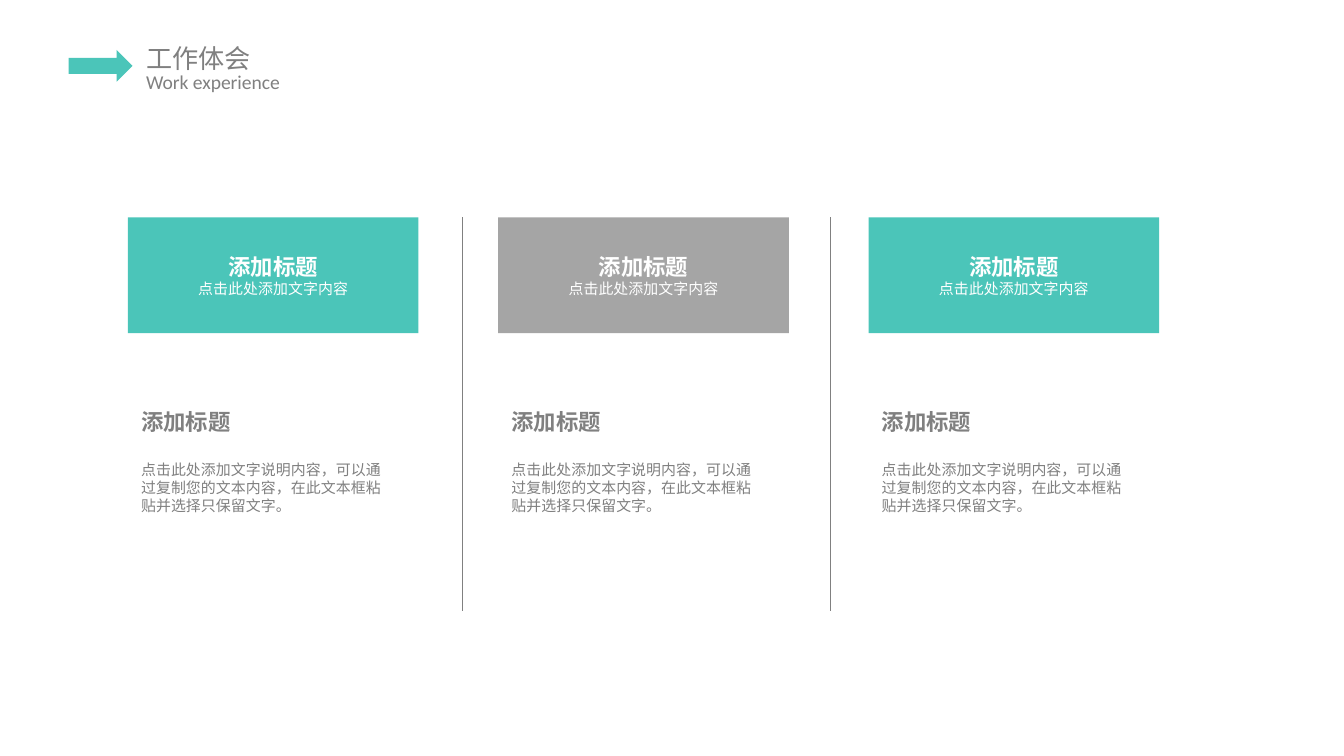
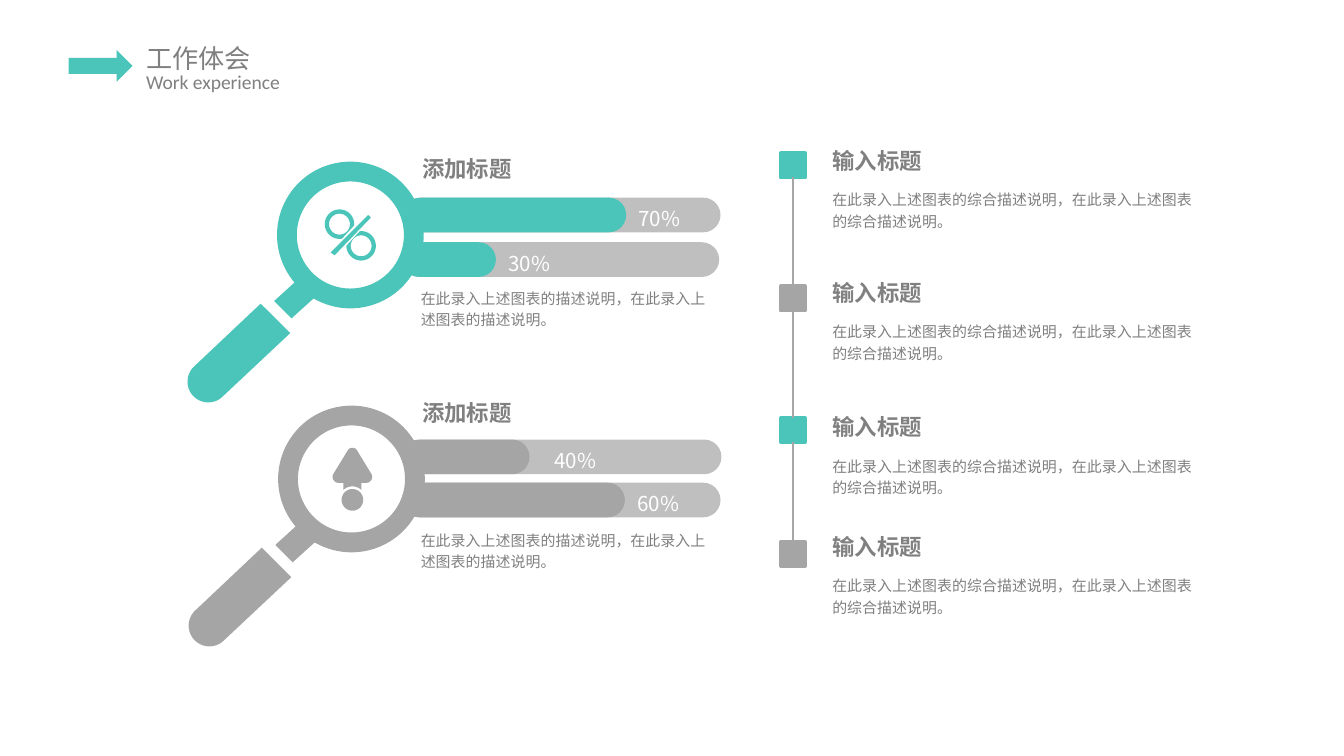
"""Build two work-experience slides: three cards, and magnifier bars beside a timeline."""
from dataclasses import dataclass
from itertools import pairwise
from math import cos, radians, sin

from lxml.etree import SubElement
from pptx import Presentation
from pptx.dml.color import RGBColor
from pptx.enum.shapes import MSO_CONNECTOR, MSO_SHAPE as Preset
from pptx.enum.text import MSO_ANCHOR as Anchor, MSO_AUTO_SIZE as AutoSize, PP_ALIGN as Align
from pptx.oxml.ns import qn
from pptx.shapes.autoshape import Shape
from pptx.shapes.connector import Connector
from pptx.slide import Slide
from pptx.text.text import TextFrame
from pptx.util import Pt

COLORS = {
    "teal": "4BC5B9",
    "gray": "A5A5A5",
    "track": "BFBFBF",
    "text": "808080",
    "rail": "A6A6A6",
    "white": "FFFFFF",
}
CJK_FONT = "Noto Sans CJK SC"
LATIN_FONT = "Calibri"
WIDE_INSETS = (7.7, 3.9)
NORMAL_INSETS = (7.2, 3.6)
TIGHT_INSETS = (5.1, 2.6)

Point = tuple[float, float]
Contour = list[Point]


@dataclass(frozen=True)
class Box:
    left: float
    top: float
    width: float
    height: float

    def lengths(self) -> list[Pt]:
        return [Pt(value) for value in (self.left, self.top, self.width, self.height)]


@dataclass(frozen=True)
class Bar:
    track_left: float
    fill_left: float
    top: float
    fill_width: float
    label: str
    label_width: float
    color: str


@dataclass(frozen=True)
class Magnifier:
    center: Point
    color: str
    symbol: list[list[Contour]]
    title_top: float
    body_top: float


@dataclass(frozen=True)
class Milestone:
    marker_top: float
    title_top: float
    color: str


def rgb(name: str) -> RGBColor:
    return RGBColor.from_string(COLORS[name])


def arc(x: float, y: float, radius: float, start: float = 0, end: float = 360) -> Contour:
    steps = 32
    angles = [radians(start + (end - start) * step / steps) for step in range(steps + 1)]
    return [(x + radius * cos(angle), y + radius * sin(angle)) for angle in angles]


NECK = [(-15.6, 30.3), (-31.5, 44.7), (-40.8, 35.4), (-25, 21)]
HANDLE = [(-48, 36.8), *arc(-76.1, 78.6, 11.1, 225, 45), (-32.2, 52.6)]
PERCENT = [
    [
        arc(-5.8, -5.8, 7.9, 80, 365), arc(-5.8, -5.8, 5.6),
        arc(5.8, 5.8, 7.9, 265, 540), arc(5.8, 5.8, 5.6),
    ],
    [[(11, -9.3), (-8.4, 10.9), (-10.6, 9.4), (9.6, -10.7)]],
]
UP_ARROW = [
    [[
        *arc(0.5, -13.8, 2.9, 210, 330),
        *arc(7.9, -1.1, 3.2, -30, 90),
        (5.4, 2.1),
        *arc(0.5, 11.2, 7.2, -48, -132),
        (-4.4, 2.1),
        *arc(-6.9, -1.1, 3.2, 90, 210),
    ]],
    [arc(0.5, 11.2, 5.8)],
]

BARS = [
    Bar(216, 216, 105.9, 119.5, "70%", 38.2, "teal"),
    Bar(215.3, 215.3, 129.8, 50.4, "30%", 38.2, "teal"),
    Bar(216.5, 215.3, 235.5, 68.4, "40%", 51.8, "gray"),
    Bar(216, 215.3, 258.6, 119.5, "60%", 38.2, "gray"),
]
MAGNIFIERS = [
    Magnifier((187.7, 125.9), "teal", PERCENT, 80.6, 150.5),
    Magnifier((188.3, 256.6), "gray", UP_ARROW, 211, 280.1),
]
MILESTONES = [
    Milestone(82.1, 76.3, "teal"),
    Milestone(153.4, 146.9, "gray"),
    Milestone(223.9, 218.9, "teal"),
    Milestone(290.2, 283, "gray"),
]


def write_text(
    frame: TextFrame, text: str, *, size: float = 8, color: str = "text", bold: bool = False,
    font_name: str = CJK_FONT, align: Align = Align.LEFT, spacing: float = 1.0,
) -> None:
    first = frame.paragraphs[0]
    paragraph = frame.add_paragraph() if first.runs else first
    paragraph.alignment = align
    paragraph.line_spacing = spacing
    run = paragraph.add_run()
    run.text = text
    font = run.font
    font.size, font.bold, font.name = Pt(size), bold, font_name
    font.color.rgb = rgb(color)
    SubElement(run._r.get_or_add_rPr(), qn("a:ea"), typeface=font_name)


def set_insets(frame: TextFrame, insets: Point) -> None:
    frame.margin_left = frame.margin_right = Pt(insets[0])
    frame.margin_top = frame.margin_bottom = Pt(insets[1])


def add_label(
    slide: Slide, box: Box, text: str, *, insets: Point = TIGHT_INSETS, wrap: bool = True, **text_format
) -> None:
    frame = slide.shapes.add_textbox(*box.lengths()).text_frame
    frame.word_wrap = wrap
    frame.auto_size = AutoSize.SHAPE_TO_FIT_TEXT
    set_insets(frame, insets)
    write_text(frame, text, **text_format)


def paint(shape: Shape, color: str, line_width: float = 0) -> None:
    shape.shadow.inherit = False
    shape.fill.solid()
    shape.fill.fore_color.rgb = rgb(color)
    if line_width:
        shape.line.color.rgb = rgb(color)
        shape.line.width = Pt(line_width)
    else:
        shape.line.fill.background()


def add_preset(slide: Slide, preset: Preset, box: Box, color: str, line_width: float = 0) -> Shape:
    shape = slide.shapes.add_shape(preset, *box.lengths())
    paint(shape, color, line_width)
    return shape


def add_outline(slide: Slide, origin: Point, contours: list[Contour], color: str) -> None:
    placed = [[(Pt(origin[0] + x), Pt(origin[1] + y)) for x, y in contour] for contour in contours]
    builder = slide.shapes.build_freeform(*placed[0][0], scale=1.0)
    for index, contour in enumerate(placed):
        if index:
            builder.move_to(*contour[0])
        builder.add_line_segments(contour[1:], close=True)
    paint(builder.convert_to_shape(), color)


def add_line(slide: Slide, start: Point, end: Point, color: str, width: float) -> Connector:
    points = [Pt(value) for value in (*start, *end)]
    connector = slide.shapes.add_connector(MSO_CONNECTOR.STRAIGHT, *points)
    connector.line.color.rgb = rgb(color)
    connector.line.width = Pt(width)
    SubElement(connector._element.spPr, qn("a:effectLst"))
    return connector


def add_header(slide: Slide) -> None:
    add_label(slide, Box(70.6, 18.7, 72, 24.5), "工作体会", insets=WIDE_INSETS, wrap=False, size=14)
    add_label(slide, Box(70.6, 33.8, 88.6, 20.2), "Work experience", insets=WIDE_INSETS,
              wrap=False, size=10.5, font_name=LATIN_FONT)
    add_preset(slide, Preset.RIGHT_ARROW, Box(36.8, 26.8, 34.2, 17), "teal")


def add_card(slide: Slide, left: float, color: str) -> None:
    card = add_preset(slide, Preset.RECTANGLE, Box(left, 116.5, 155.7, 62), color)
    frame = card.text_frame
    frame.word_wrap = True
    frame.vertical_anchor = Anchor.MIDDLE
    set_insets(frame, TIGHT_INSETS)
    write_text(frame, "添加标题", size=12, bold=True, color="white", align=Align.CENTER)
    write_text(frame, "点击此处添加文字内容", color="white", align=Align.CENTER)
    add_label(slide, Box(left, 215.3, 62.6, 21.6), "添加标题", insets=NORMAL_INSETS,
              wrap=False, size=12, bold=True)
    add_label(slide, Box(left, 243.4, 144, 36),
              "点击此处添加文字说明内容，可以通过复制您的文本内容，在此文本框粘贴并选择只保留文字。",
              insets=NORMAL_INSETS)


def add_entry(slide: Slide, left: float, title_top: float, title: str,
              body: Box, description: str) -> None:
    add_label(slide, Box(left, title_top, 59, 20.2), title, wrap=False, size=12, bold=True)
    add_label(slide, body, description, spacing=1.2)


def add_bar(slide: Slide, bar: Bar) -> None:
    for left, width, color in ((bar.track_left, 170, "track"), (bar.fill_left, bar.fill_width, bar.color)):
        pill = add_preset(slide, Preset.ROUNDED_RECTANGLE, Box(left, bar.top, width, 18.6), color)
        pill.adjustments[0] = 0.5
    label_left = bar.fill_left + bar.fill_width - 1.3
    add_label(slide, Box(label_left, bar.top - 1.5, bar.label_width, 23), bar.label,
              insets=NORMAL_INSETS, size=11, color="white", align=Align.CENTER, spacing=1.2)


def add_magnifier(slide: Slide, magnifier: Magnifier) -> None:
    x, y = magnifier.center
    radius = 39.3
    ring_box = Box(x - radius, y - radius, 2 * radius, 2 * radius)
    ring = add_preset(slide, Preset.DONUT, ring_box, magnifier.color)
    ring.adjustments[0] = 0.135
    for contours in ([NECK], [HANDLE], *magnifier.symbol):
        add_outline(slide, magnifier.center, contours, magnifier.color)
    add_entry(slide, 221, magnifier.title_top, "添加标题", Box(220.3, magnifier.body_top, 166.3, 28.8),
              "在此录入上述图表的描述说明，在此录入上述图表的描述说明。")


def add_timeline(slide: Slide) -> None:
    markers = []
    for milestone in MILESTONES:
        box = Box(418.3, milestone.marker_top, 13, 13)
        markers.append(add_preset(slide, Preset.RECTANGLE, box, milestone.color, line_width=2))
        add_entry(slide, 440.8, milestone.title_top, "输入标题",
                  Box(440.8, milestone.title_top + 21.5, 203.8, 28.8),
                  "在此录入上述图表的综合描述说明，在此录入上述图表的综合描述说明。")
    for upper, lower in pairwise(markers):
        rail = add_line(slide, (0, 0), (0, 0), "rail", 0.75)
        rail.begin_connect(upper, 2)
        rail.end_connect(lower, 0)


def build_cards_slide(slide: Slide) -> None:
    add_header(slide)
    for index in range(2):
        x = 247.7 + 197.3 * index
        add_line(slide, (x, 116.5), (x, 327.4), "text", 0.25)
    for index, color in enumerate(("teal", "gray", "teal")):
        add_card(slide, 68.5 + 198.4 * index, color)


def build_magnifier_slide(slide: Slide) -> None:
    add_header(slide)
    for bar in BARS:
        add_bar(slide, bar)
    for magnifier in MAGNIFIERS:
        add_magnifier(slide, magnifier)
    add_timeline(slide)


def main() -> None:
    presentation = Presentation()
    presentation.slide_width, presentation.slide_height = Pt(720), Pt(405)
    blank_layout = presentation.slide_layouts[6]
    for build in (build_cards_slide, build_magnifier_slide):
        build(presentation.slides.add_slide(blank_layout))
    presentation.save("out.pptx")


if __name__ == "__main__":
    main()
